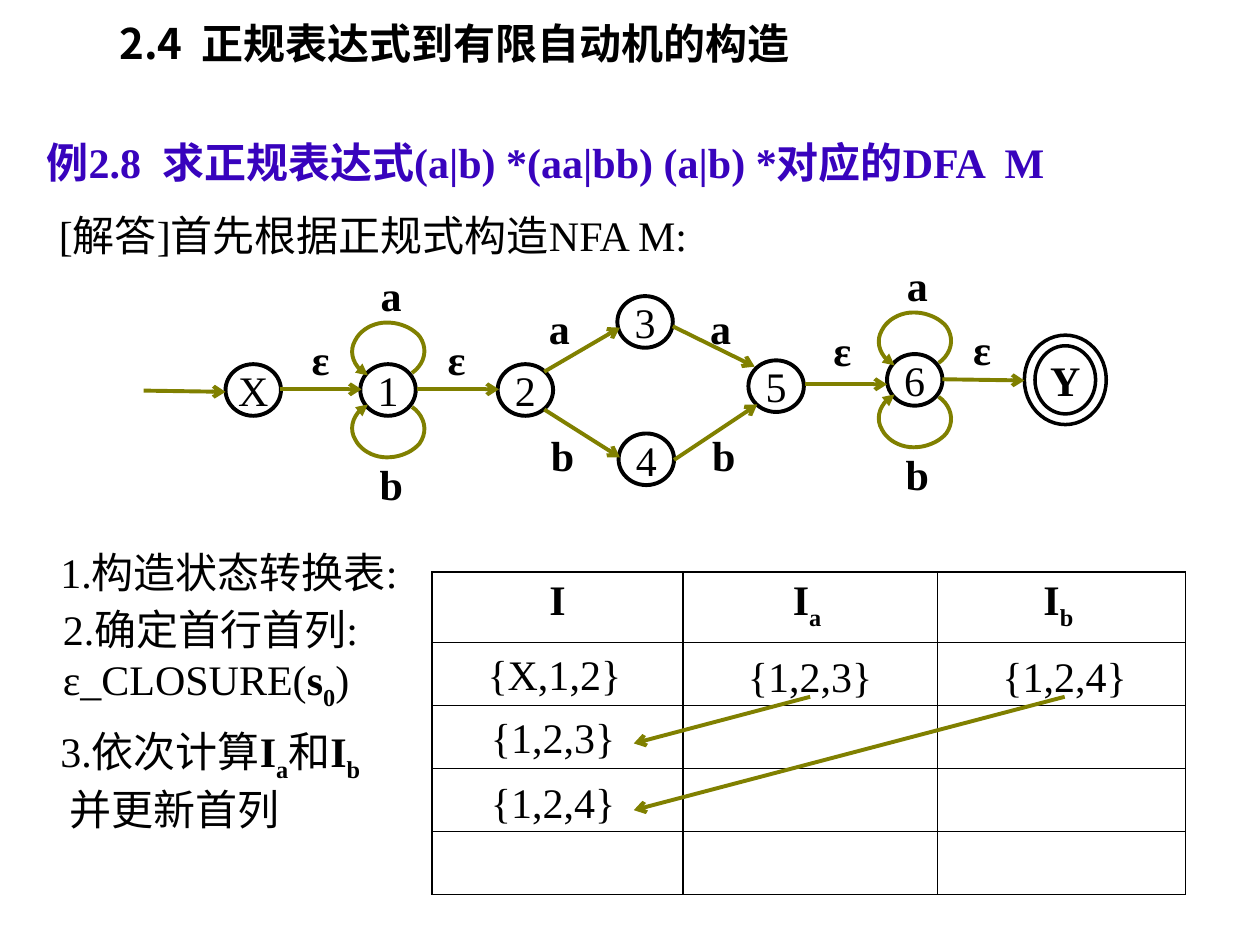
from lxml.etree import SubElement
from pptx import Presentation
from pptx.dml.color import RGBColor
from pptx.enum.shapes import MSO_CONNECTOR, MSO_SHAPE
from pptx.enum.text import MSO_ANCHOR, PP_ALIGN
from pptx.oxml.ns import qn
from pptx.util import Inches, Pt

BLACK = RGBColor(0x00, 0x00, 0x00)
OLIVE = RGBColor(0x80, 0x80, 0x00)
VIOLET = RGBColor(0x38, 0x03, 0xBD)
LATIN, CHINESE = "Times New Roman", "Noto Sans CJK SC"
BOLD, SUBSCRIPT = "bold", "subscript"

presentation = Presentation()
presentation.slide_width, presentation.slide_height = Inches(10), Inches(7.5)
COLUMN = presentation.slide_width // 100
ROW = presentation.slide_height // 75
slide = presentation.slides.add_slide(presentation.slide_layouts[5])
shapes = slide.shapes


def write(frame, paragraphs, alignment=PP_ALIGN.LEFT, spacing=None, color=BLACK, name=LATIN, **frame_format):
    for key, value in frame_format.items():
        setattr(frame, key, value)
    for index, runs in enumerate(paragraphs):
        paragraph = frame.add_paragraph() if index else frame.paragraphs[0]
        paragraph.alignment = alignment
        if spacing:
            paragraph.line_spacing = spacing
        for text, *styles in runs:
            run = paragraph.add_run()
            run.text = text
            run.font.color.rgb = color
            font_format = {"size": Pt(24), "name": name, "bold": bool(styles)}
            for key, value in font_format.items():
                setattr(run.font, key, value)
            properties = run._r.get_or_add_rPr()
            SubElement(properties, qn("a:ea"), typeface=CHINESE)
            if SUBSCRIPT in styles:
                properties.set("baseline", "-25000")


def outline(shape, color, width=2.25, arrow=None):
    shape.line.color.rgb = color
    shape.line.width = Pt(width)
    properties = shape._element.spPr
    if arrow:
        SubElement(properties.find(qn("a:ln")), qn("a:tailEnd"), type=arrow)
    SubElement(properties, qn("a:effectLst"))


title = shapes.title
title.left, title.top, title.width, title.height = round(2.7 * COLUMN), round(6.8 * ROW), round(93.7 * COLUMN), 8 * ROW
write(title.text_frame, [[("例2.8  求正规表达式(a|b) *(aa|bb) (a|b) *对应的DFA  M", BOLD)]],
      spacing=2, color=VIOLET, vertical_anchor=MSO_ANCHOR.MIDDLE, word_wrap=True)

text_boxes = [
    (8.5, 0, 70.9, 6.8, [[("2.4  正规表达式到有限自动机的构造", BOLD)]],
     {"name": CHINESE, "vertical_anchor": MSO_ANCHOR.MIDDLE}),
    (3.7, 14.1, 94.3, 7, [[("[解答]首先根据正规式构造NFA M:",)]], {"spacing": 1.5}),
    (3.8, 40.9, 94.2, 7, [[("1.构造状态转换表:",)]], {"spacing": 1.5}),
    (4, 47.4, 28.9, 9.6,
     [[("2.确定首行首列:",)],
      [("ε_CLOSURE(",), ("s", BOLD), ("0", BOLD, SUBSCRIPT), (")",)]], {}),
    (3.8, 57.1, 28.9, 14.1,
     [[("3.依次计算",), ("I", BOLD), ("a", BOLD, SUBSCRIPT), ("和",), ("I", BOLD), ("b", BOLD, SUBSCRIPT)],
      [(" 并更新首列",)]], {}),
]
for left, top, width, height, paragraphs, text_format in text_boxes:
    box = shapes.add_textbox(round(left * COLUMN), round(top * ROW), round(width * COLUMN), round(height * ROW))
    write(box.text_frame, paragraphs, word_wrap=True, **text_format)

table_shape = shapes.add_table(5, 3, round(34.3 * COLUMN), round(45.4 * ROW), round(59.8 * COLUMN), round(25.6 * ROW))
table = table_shape.table
for column, width in zip(table.columns, (19.9, 20.2, 19.7)):
    column.width = round(width * COLUMN)
for row, height in zip(table.rows, (5.6, 5, 5, 5, 5)):
    row.height = round(height * ROW)
for cell in table.iter_cells():
    properties = cell._tc.get_or_add_tcPr()
    for side in ("a:lnL", "a:lnR", "a:lnT", "a:lnB"):
        border = SubElement(properties, qn(side), w=str(Pt(1.08)))
        fill = SubElement(border, qn("a:solidFill"))
        SubElement(fill, qn("a:srgbClr"), val=str(BLACK))
    cell.fill.background()
for cell, subscript in zip(table.rows[0].cells, ("", "a ", "b ")):
    runs = [("I", BOLD)] + ([(subscript, BOLD, SUBSCRIPT)] if subscript else [])
    write(cell.text_frame, [runs], PP_ALIGN.CENTER)

labels = [
    (25.45, 28.5, "ε", BOLD), (36.25, 28.5, "ε", BOLD), (66.85, 27.8, "ε", BOLD), (77.95, 27.7, "ε", BOLD),
    (31.05, 23.4, "a", BOLD), (31.05, 38.4, "b", BOLD), (72.8, 22.6, "a", BOLD), (72.8, 37.6, "b", BOLD),
    (44.4, 26, "a", BOLD), (44.65, 36.1, "b", BOLD), (57.2, 26, "a", BOLD), (57.45, 36.1, "b", BOLD),
    (44, 53.5, "{X,1,2}"), (64.3, 53.6, "{1,2,3}"), (84.5, 53.6, "{1,2,4}"),
    (43.9, 58.5, "{1,2,3}"), (43.9, 63.6, "{1,2,4}"),
]
for center, middle, *run in labels:
    width = 4 if BOLD in run else 14
    box = shapes.add_textbox(round((center - width / 2) * COLUMN), round((middle - 2.5) * ROW), width * COLUMN, 5 * ROW)
    write(box.text_frame, [[run]], PP_ALIGN.CENTER, word_wrap=False)

states = [
    ("X", 20.1, 30.95), ("1", 30.8, 30.95), ("2", 41.7, 30.95), ("3", 51.2, 25.55),
    ("4", 51.3, 36.45), ("5", 61.6, 30.65), ("6", 72.6, 30.15), ("Y", 84.55, 30.15),
]
for name, center, middle in states:
    final = name == "Y"
    width, height = (6.5, 7.1) if final else (4.4, 4.1)
    preset = MSO_SHAPE.DONUT if final else MSO_SHAPE.OVAL
    state = shapes.add_shape(preset, round((center - width / 2) * COLUMN), round((middle - height / 2) * ROW),
                             round(width * COLUMN), round(height * ROW))
    if final:
        state.adjustments[0] = 0.13
    state.fill.background()
    outline(state, BLACK, 2 if final else 2.25)
    write(state.text_frame, [[(name, BOLD) if final else (name,)]], PP_ALIGN.CENTER,
          vertical_anchor=MSO_ANCHOR.MIDDLE, word_wrap=False,
          margin_left=0, margin_right=0, margin_top=0, margin_bottom=0)

arrows = [
    (11.4, 31, 17.9, 31.1), (22.2, 30.9, 28.7, 30.9), (33.1, 30.9, 39.6, 30.9),
    (43.2, 29.5, 49.2, 26), (43.2, 32.5, 49.2, 36.3), (53.4, 25.9, 59.9, 29.1), (53.5, 36.5, 60.1, 32.1),
    (63.9, 30.5, 70.4, 30.5), (74.8, 30.1, 81.3, 30.2),
    (64.3, 55.3, 50.3, 59), (84.5, 55.3, 50.3, 64.3),
]
for start_x, start_y, end_x, end_y in arrows:
    arrow = shapes.add_connector(MSO_CONNECTOR.STRAIGHT, round(start_x * COLUMN), round(start_y * ROW),
                                 round(end_x * COLUMN), round(end_y * ROW))
    outline(arrow, OLIVE, arrow="arrow")

loop_curve = [
    (1.9, 1.35), (2.9, 2.05), (3.2, 3.25), (2.5, 4.25), (1.9, 4.95), (0.9, 5.35), (-0.1, 5.35),
    (-1.2, 5.35), (-2.2, 4.75), (-2.6, 3.95), (-3.2, 2.95), (-2.7, 1.75), (-1.6, 1.15),
]
STEPS = 10
loop_points = [loop_curve[0]]
for first in range(0, len(loop_curve) - 1, 3):
    for step in range(1, STEPS + 1):
        t = step / STEPS
        weights = ((1 - t) ** 3, 3 * t * (1 - t) ** 2, 3 * t ** 2 * (1 - t), t ** 3)
        controls = loop_curve[first:first + 4]
        loop_points.append(tuple(sum(w * point[axis] for w, point in zip(weights, controls)) for axis in (0, 1)))
for name, center, middle in states:
    if name not in ("1", "6"):
        continue
    for direction in (1, -1):
        points = [(round((center + x) * COLUMN), round((middle + direction * y) * ROW)) for x, y in loop_points]
        builder = shapes.build_freeform(*points[0])
        builder.add_line_segments(points[1:], close=False)
        loop = builder.convert_to_shape()
        loop.fill.background()
        outline(loop, OLIVE, arrow="triangle")

presentation.save("out.pptx")
